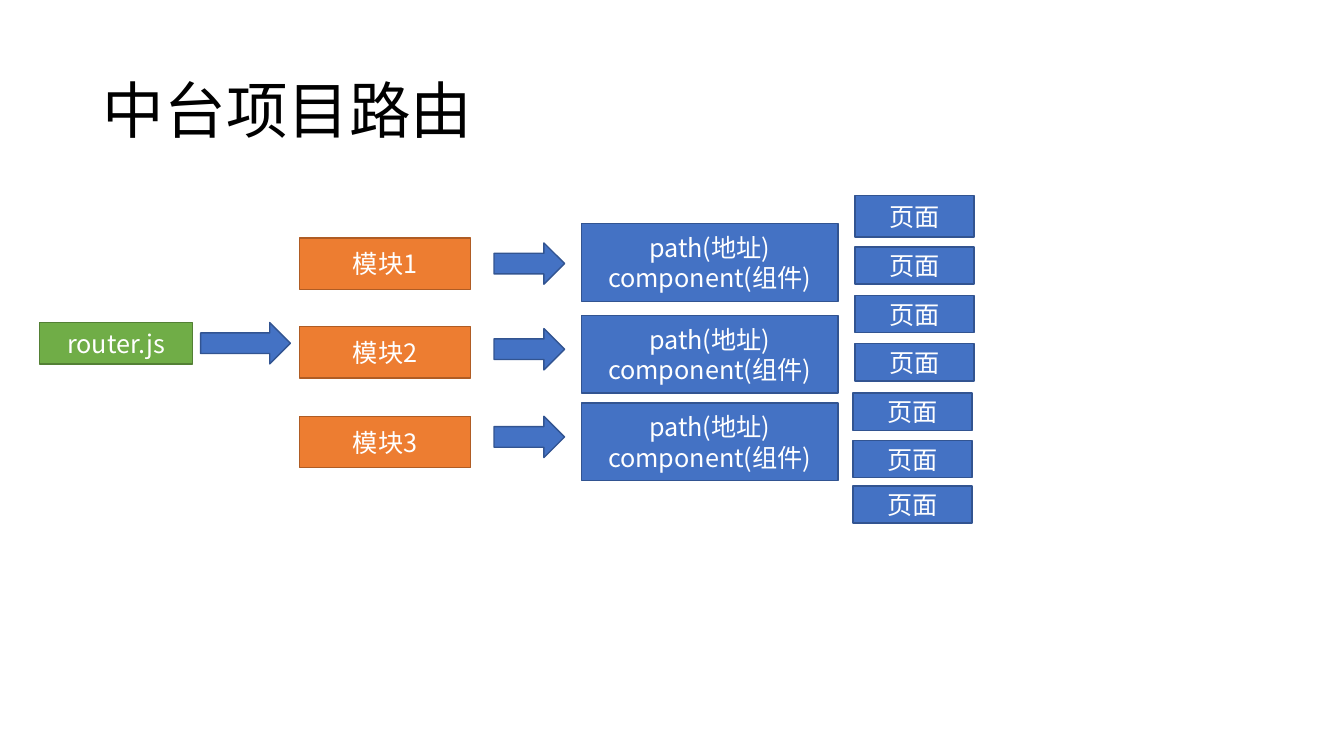
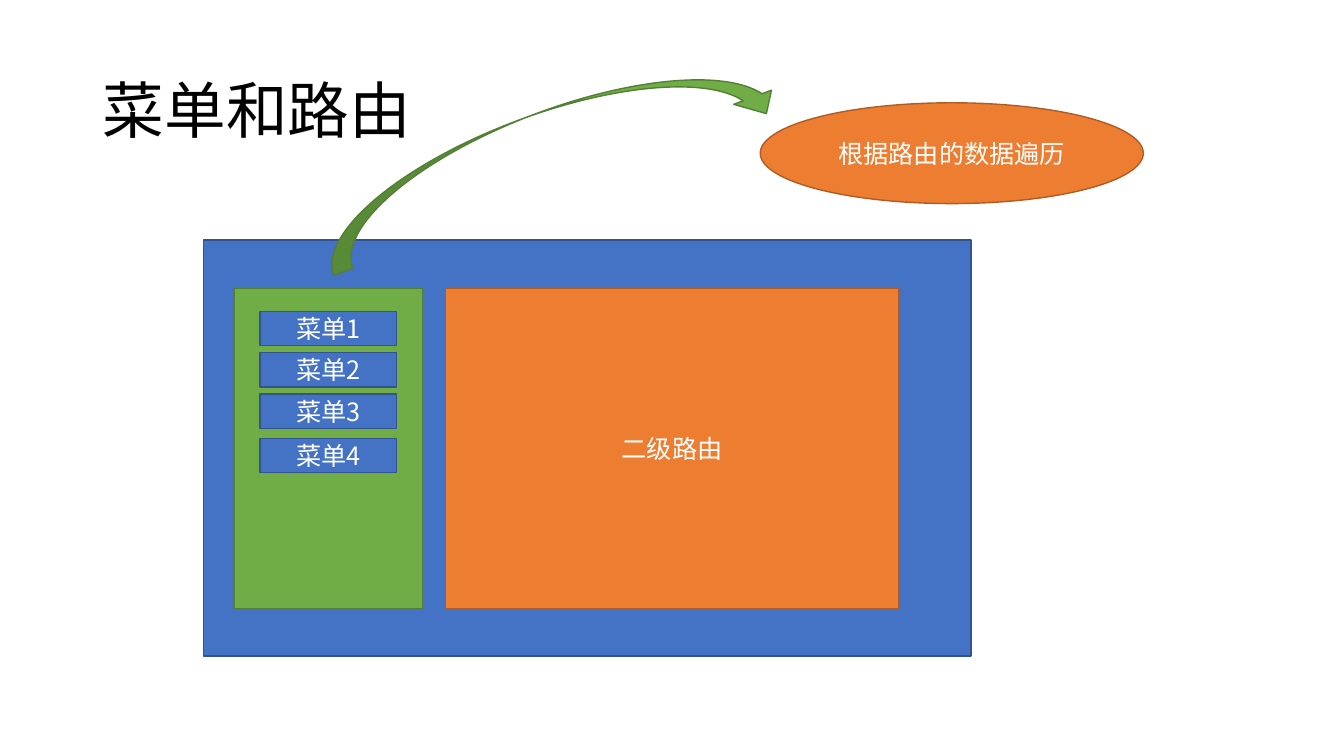
from collections import namedtuple

from pptx import Presentation
from pptx.dml.color import RGBColor
from pptx.enum.shapes import MSO_SHAPE as Shape
from pptx.enum.text import MSO_ANCHOR as Anchor, PP_ALIGN as Align
from pptx.oxml.ns import qn
from pptx.util import Emu, Pt

PX_EMU = 9144
FONT = "Noto Sans CJK SC"
COLORS = {
    "black": "000000",
    "white": "FFFFFF",
    "blue": "4472C4",
    "blue_line": "325491",
    "orange": "ED7D31",
    "orange_line": "AF5C24",
    "green": "70AD47",
    "green_line": "538035",
}
Box = namedtuple("Box", "left top width height")


def px(length):
    return Emu(length * PX_EMU)


def rgb(name):
    return RGBColor.from_string(COLORS[name])


def inside(box, left, top, width, height):
    return Box(box.left + left, box.top + top, width, height)


def place(shape, box):
    shape.left, shape.top, shape.width, shape.height = map(px, box)


def format_text(text_frame, size, color, align, line_spacing=None):
    text_frame.word_wrap = True
    text_frame.vertical_anchor = Anchor.MIDDLE
    for paragraph in text_frame.paragraphs:
        paragraph.alignment = align
        paragraph.line_spacing = line_spacing
        for run in paragraph.runs:
            run.font.size = Pt(size)
            run.font.color.rgb = rgb(color)
            run.font.name = FONT
            east_asian = run.font._element.makeelement(qn("a:ea"), {"typeface": FONT})
            run.font._element.find(qn("a:latin")).addnext(east_asian)


def add_block(slide, box, color, text="", preset=Shape.RECTANGLE):
    shape = slide.shapes.add_shape(preset, *map(px, box))
    shape.shadow.inherit = False
    shape.fill.solid()
    shape.fill.fore_color.rgb = rgb(color)
    shape.line.color.rgb = rgb(f"{color}_line")
    shape.line.width = Pt(1)
    if text:
        shape.text_frame.text = text
        format_text(shape.text_frame, 18, "white", Align.CENTER)
    return shape


def add_titled_slide(presentation, title):
    slide = presentation.slides.add_slide(presentation.slide_layouts[5])
    place(slide.shapes.title, Box(92, 40, 1150, 145))
    slide.shapes.title.text_frame.text = title
    format_text(slide.shapes.title.text_frame, 44, "black", Align.LEFT, 0.9)
    return slide


def add_router_entry(slide, box):
    add_block(slide, inside(box, 0, 0, 152, box.height), "green", "router.js")
    add_block(slide, inside(box, 160, 0, 89, box.height), "blue",
              preset=Shape.RIGHT_ARROW)


def add_modules(slide, box):
    rows = zip((14, 102, 191), (19, 104, 191), (0, 91, 178))
    for number, (module_top, arrow_top, detail_top) in enumerate(rows, 1):
        add_block(slide, inside(box, 0, module_top, 170, 51), "orange", f"模块{number}")
        add_block(slide, inside(box, 193, arrow_top, 70, 41), "blue",
                  preset=Shape.RIGHT_ARROW)
        add_block(slide, inside(box, 280, detail_top, box.width - 280, 77), "blue",
                  "path(地址)\ncomponent(组件)")


def add_pages(slide, box):
    rows = ((2, 0, 41), (2, 51, 37), (2, 99, 37), (2, 147, 37),
            (0, 196, 37), (0, 243, 37), (0, 288, 37))
    for left, top, height in rows:
        add_block(slide, inside(box, left, top, box.width - 2, height), "blue", "页面")


def add_menu(slide, box):
    add_block(slide, box, "green")
    for number, top in enumerate((23, 64, 105, 149), 1):
        add_block(slide, inside(box, 26, top, box.width - 52, 34), "blue", f"菜单{number}")


def add_layout_panel(slide, box):
    add_block(slide, box, "blue")
    add_menu(slide, inside(box, 30, 48, 187, 318))
    add_block(slide, inside(box, 240, 48, 449, 318), "orange", "二级路由")


def add_data_source(slide, box):
    arrow = add_block(slide, inside(box, 0, 10, 478, 80), "green",
                      preset=Shape.CURVED_DOWN_ARROW)
    arrow.rotation = 339.5
    add_block(slide, inside(box, 452, 0, box.width - 452, box.height), "orange",
              "根据路由的数据遍历", Shape.OVAL)


def build_router_slide(presentation):
    slide = add_titled_slide(presentation, "中台项目路由")
    add_router_entry(slide, Box(39, 320, 249, 41))
    add_modules(slide, Box(297, 222, 534, 255))
    add_pages(slide, Box(846, 194, 120, 325))


def build_menu_slide(presentation):
    slide = add_titled_slide(presentation, "菜单和路由")
    add_layout_panel(slide, Box(202, 238, 761, 413))
    add_data_source(slide, Box(302, 102, 832, 100))


def main():
    presentation = Presentation()
    presentation.slide_width = px(1333)
    presentation.slide_height = px(750)
    build_router_slide(presentation)
    build_menu_slide(presentation)
    presentation.save("out.pptx")


if __name__ == "__main__":
    main()
